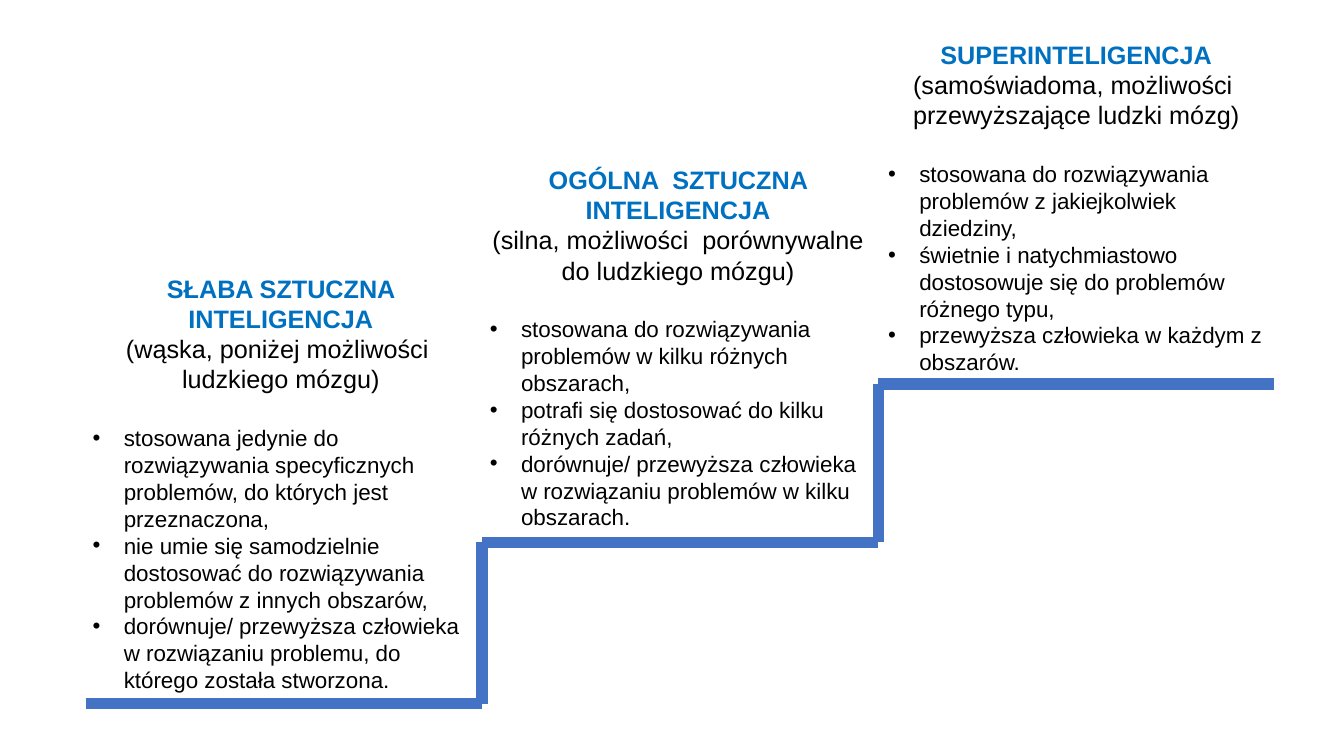
import pptx
import pptx.dml.color
import pptx.enum.shapes
import pptx.enum.text
import pptx.util
import lxml.etree
from pptx.oxml.ns import qn
from pptx.util import Inches, Pt

STAGES = [
    {
        "title": "SŁABA SZTUCZNA INTELIGENCJA",
        "summary": "(wąska, poniżej możliwości  ludzkiego mózgu)",
        "features": [
            "stosowana jedynie do rozwiązywania specyficznych problemów, do których jest przeznaczona,",
            "nie umie się samodzielnie dostosować do rozwiązywania  problemów z innych obszarów,",
            "dorównuje/ przewyższa człowieka w rozwiązaniu problemu, do którego została stworzona.",
        ],
        "left": 0.82, "top": 2.66, "height": 4.31, "level": 6.98,
    },
    {
        "title": "OGÓLNA  SZTUCZNA INTELIGENCJA",
        "summary": "(silna, możliwości  porównywalne do ludzkiego mózgu)",
        "features": [
            "stosowana do rozwiązywania problemów w kilku różnych obszarach,",
            "potrafi się dostosować do kilku różnych zadań,",
            "dorównuje/ przewyższa człowieka w rozwiązaniu problemów w kilku obszarach.",
        ],
        "left": 4.76, "top": 1.58, "height": 3.77, "level": 5.38,
    },
    {
        "title": "SUPERINTELIGENCJA",
        "summary": "(samoświadoma, możliwości  przewyższające ludzki mózg)",
        "features": [
            "stosowana do rozwiązywania problemów z jakiejkolwiek dziedziny,",
            "świetnie i natychmiastowo dostosowuje się do problemów różnego typu,",
            "przewyższa człowieka w każdym z obszarów.",
        ],
        "left": 8.71, "top": 0.34, "height": 3.47, "level": 3.81,
    },
]
STAIRS_LEFT = 0.85
STEP_WIDTH = 3.93
BULLET_INDENT = 0.31


def color(hex_string):
    return pptx.dml.color.RGBColor.from_string(hex_string)


def add_stair_line(slide, start, end):
    connector = slide.shapes.add_connector(
        pptx.enum.shapes.MSO_CONNECTOR.STRAIGHT, *map(Inches, start + end))
    connector.line.color.rgb = color("4472C4")
    connector.line.width = Pt(8)
    lxml.etree.SubElement(connector._element.spPr, qn("a:effectLst"))


def add_heading(paragraph, title, summary):
    paragraph.alignment = pptx.enum.text.PP_ALIGN.CENTER
    paragraph.space_after = Pt(21.7)
    paragraph.font.size = Pt(18)
    paragraph.font.name = "Arial"
    title_run = paragraph.add_run()
    title_run.text = title
    title_run.font.bold = True
    title_run.font.color.rgb = color("0070C0")
    paragraph.add_line_break()
    summary_run = paragraph.add_run()
    summary_run.text = summary
    summary_run.font.color.rgb = color("000000")


def add_feature(paragraph, feature):
    paragraph.text = feature
    paragraph.font.size = Pt(16)
    paragraph.font.name = "Arial"
    paragraph.font.color.rgb = color("000000")
    properties = paragraph._p.get_or_add_pPr()
    properties.set("marL", str(Inches(BULLET_INDENT)))
    properties.set("indent", str(-Inches(BULLET_INDENT)))
    bullet_font = lxml.etree.Element(qn("a:buFont"), typeface="Arial")
    bullet = lxml.etree.Element(qn("a:buChar"), char="•")
    default_font = properties.find(qn("a:defRPr"))
    default_font.addprevious(bullet_font)
    default_font.addprevious(bullet)


def add_stage_text(slide, stage):
    text_box = slide.shapes.add_textbox(
        Inches(stage["left"]), Inches(stage["top"]),
        Inches(STEP_WIDTH), Inches(stage["height"]))
    text_frame = text_box.text_frame
    text_frame.word_wrap = True
    text_frame.auto_size = pptx.enum.text.MSO_AUTO_SIZE.SHAPE_TO_FIT_TEXT
    add_heading(text_frame.paragraphs[0], stage["title"], stage["summary"])
    for feature in stage["features"]:
        add_feature(text_frame.add_paragraph(), feature)


presentation = pptx.Presentation()
presentation.slide_width = Inches(13.33)
presentation.slide_height = Inches(7.5)
slide = presentation.slides.add_slide(presentation.slide_layouts[6])

for index, stage in enumerate(STAGES):
    step_left = STAIRS_LEFT + index * STEP_WIDTH
    level = stage["level"]
    add_stair_line(slide, (step_left, level), (step_left + STEP_WIDTH, level))
    if index > 0:
        add_stair_line(slide, (step_left, level), (step_left, STAGES[index - 1]["level"]))

for stage in STAGES:
    add_stage_text(slide, stage)

presentation.save("out.pptx")
